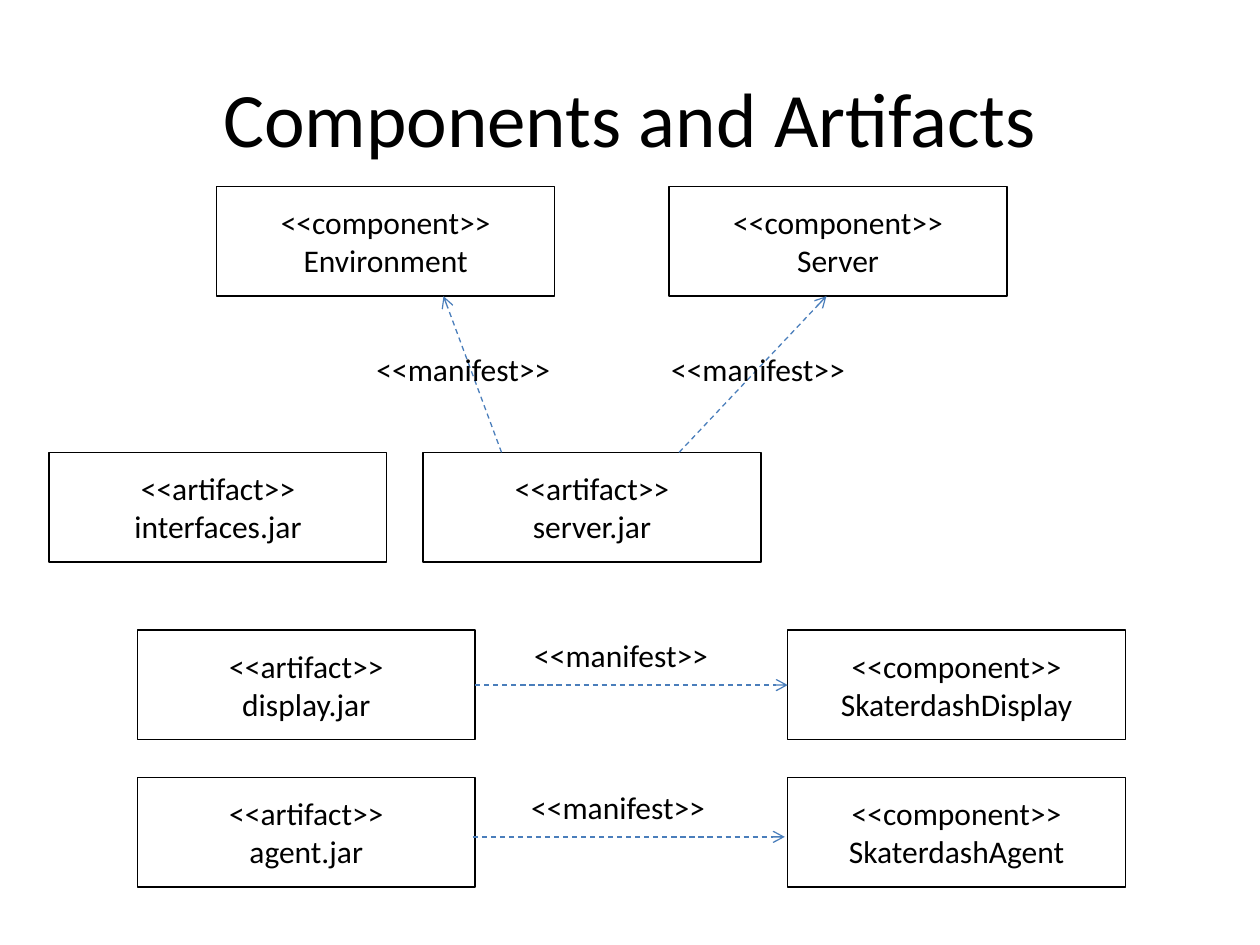
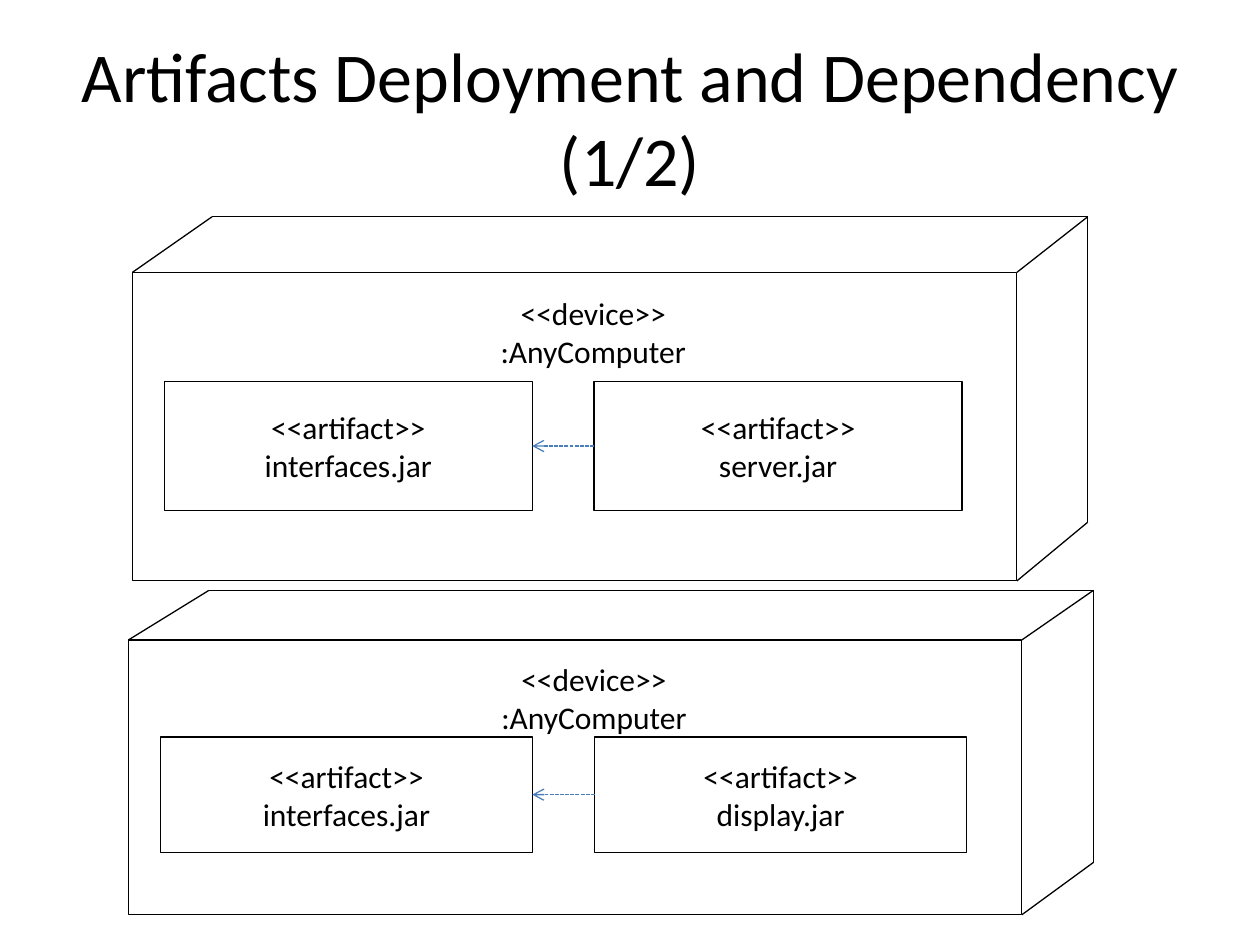
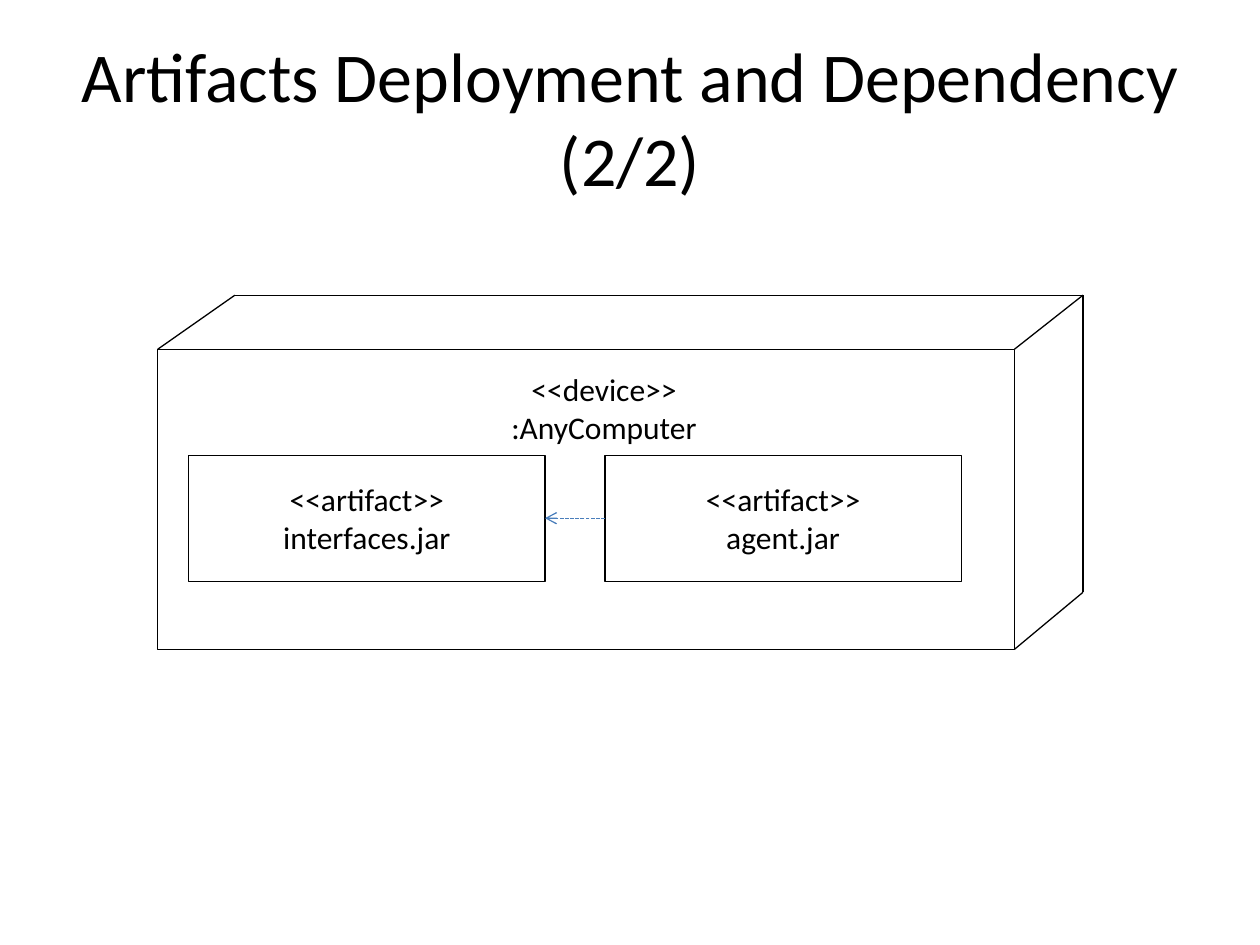
"""Build three slides on components, artifacts and their deployment."""
from lxml import etree
from pptx import Presentation
from pptx.dml.color import RGBColor
from pptx.enum import dml, shapes, text
from pptx.oxml.ns import qn
from pptx.util import Cm, Pt

FONT = "Calibri"
BLACK, WHITE, BLUE = "000000", "FFFFFF", "4A7EBB"
DASH, FINE = dml.MSO_LINE.DASH, dml.MSO_LINE.SQUARE_DOT
COMP, ART, DEVICE, LINK = "<<component>>", "<<artifact>>", "<<device>>", "<<manifest>>"

BOX = 6.81, 2.21
LABEL = 4.37, 1.02
LEFT, RIGHT = 2.77, 15.88
TOP, MID, SHOW, PLAY = 3.76, 9.12, 12.7, 15.67

PARTS = [
    (COMP, "Environment", 4.37, TOP),
    (COMP, "Server", 13.49, TOP),
    (ART, "interfaces.jar", 0.99, MID),
    (ART, "server.jar", 8.53, MID),
    (ART, "display.jar", LEFT, SHOW),
    (COMP, "SkaterdashDisplay", RIGHT, SHOW),
    (ART, "agent.jar", LEFT, PLAY),
    (COMP, "SkaterdashAgent", RIGHT, PLAY),
]
LINKS = [
    ((10.11, MID), (8.94, TOP + BOX[1]), (7.34, 6.93)),
    ((13.69, MID), (16.66, TOP + BOX[1]), (13.28, 6.93)),
    ((LEFT + BOX[0], 13.81), (RIGHT, 13.81), (10.52, SHOW)),
    ((9.53, 16.87), (15.82, 16.87), (10.46, 15.77)),
]
DEPLOY = [
    ("Artifacts Deployment and Dependency (1/2)", [
        ("server.jar", 2.67, 5.49, 17.83, 6.22),
        ("display.jar", 2.59, 12.9, 18.01, 5.54),
    ]),
    ("Artifacts Deployment and Dependency (2/2)", [
        ("agent.jar", 3.18, 7.04, 17.27, 6.05),
    ]),
]


def tint(code):
    return RGBColor.from_string(code)


def write(frame, lines, size=18, align=text.PP_ALIGN.CENTER):
    for i, line in enumerate(lines):
        para = frame.add_paragraph() if i else frame.paragraphs[0]
        para.alignment = align
        run = para.add_run()
        run.text = line
        run.font.name, run.font.size = FONT, Pt(size)
        run.font.color.rgb = tint(BLACK)


def place(x, y, w, h):
    return Cm(x), Cm(y), Cm(w), Cm(h)


def box(on, lines, *area):
    item = on.add_shape(shapes.MSO_SHAPE.RECTANGLE, *place(*area))
    item.shadow.inherit = False
    item.fill.solid()
    item.fill.fore_color.rgb = tint(WHITE)
    item.line.color.rgb = tint(BLACK)
    item.line.width = Pt(0.75)
    frame = item.text_frame
    frame.word_wrap = False
    frame.vertical_anchor = text.MSO_ANCHOR.MIDDLE
    write(frame, lines)


def note(on, lines, align, *area):
    frame = on.add_textbox(*place(*area)).text_frame
    frame.word_wrap = True
    write(frame, lines, align=align)


def line(on, start, end, color=BLACK, dash=None):
    item = on.add_connector(shapes.MSO_CONNECTOR.STRAIGHT,
                            *(Cm(v) for v in (*start, *end)))
    item.line.color.rgb = tint(color)
    item.line.width = Pt(0.75)
    if dash:
        item.line.dash_style = dash
        tail = etree.SubElement(item.line._get_or_add_ln(), qn("a:tailEnd"))
        tail.set("type", "arrow")
    etree.SubElement(item._element.spPr, qn("a:effectLst"))


def device(on, jar, x, y, w, h):
    def at(fx, fy):
        return x + fx * w, y + fy * h

    box(on, [], x, y, w, h)
    back, far, low = at(0.09, -0.18), at(1.08, -0.18), at(1.08, 0.81)
    for start, end in [(at(0, 0), back), (back, far), (at(1, 0), far),
                       (far, low), (at(1, 1), low)]:
        line(on, start, end)
    note(on, [DEVICE, ":AnyComputer"], text.PP_ALIGN.CENTER,
         *at(0.376, 0.05), 0.29 * w, 1.78)
    wide, tall = 0.416 * w, 0.42 * h
    for name, fx in [(jar, 0.522), ("interfaces.jar", 0.036)]:
        box(on, [ART, name], *at(fx, 0.353), wide, tall)
    line(on, at(0.522, 0.563), at(0.452, 0.563), BLUE, FINE)


def begin(deck, title, size):
    slide = deck.slides.add_slide(deck.slide_layouts[5])
    head = slide.shapes.title
    head.left, head.top, head.width, head.height = place(1.27, 0.76, 22.86, 3.18)
    frame = head.text_frame
    frame.word_wrap = True
    frame.auto_size = text.MSO_AUTO_SIZE.NONE
    frame.vertical_anchor = text.MSO_ANCHOR.MIDDLE
    write(frame, [title], size)
    return slide.shapes


def main():
    deck = Presentation()
    deck.slide_width, deck.slide_height = Cm(25.4), Cm(19.05)
    on = begin(deck, "Components and Artifacts", 44)
    for kind, name, x, y in PARTS:
        box(on, [kind, name], x, y, *BOX)
    for start, end, spot in LINKS:
        line(on, start, end, BLUE, DASH)
        note(on, [LINK], text.PP_ALIGN.LEFT, *spot, *LABEL)
    for title, hosts in DEPLOY:
        on = begin(deck, title, 40)
        for host in hosts:
            device(on.add_group_shape().shapes, *host)
    deck.save("out.pptx")


if __name__ == "__main__":
    main()
